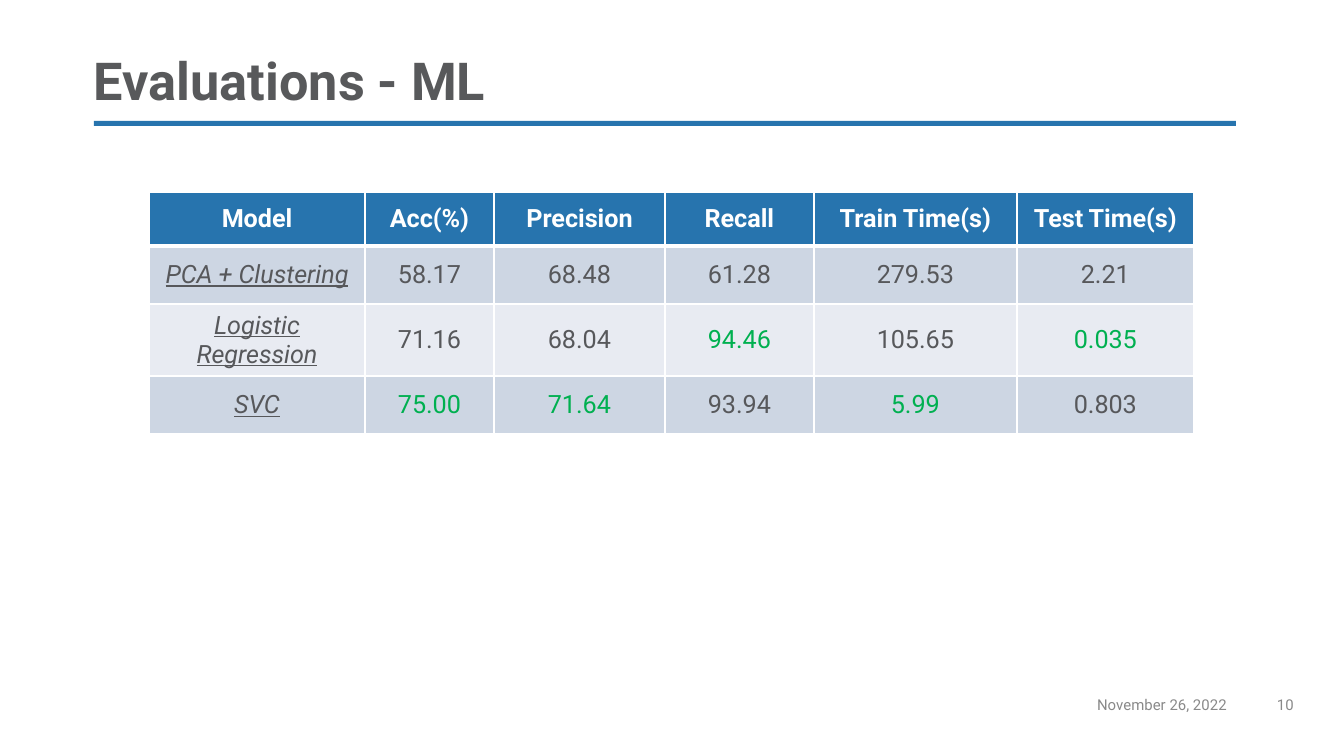
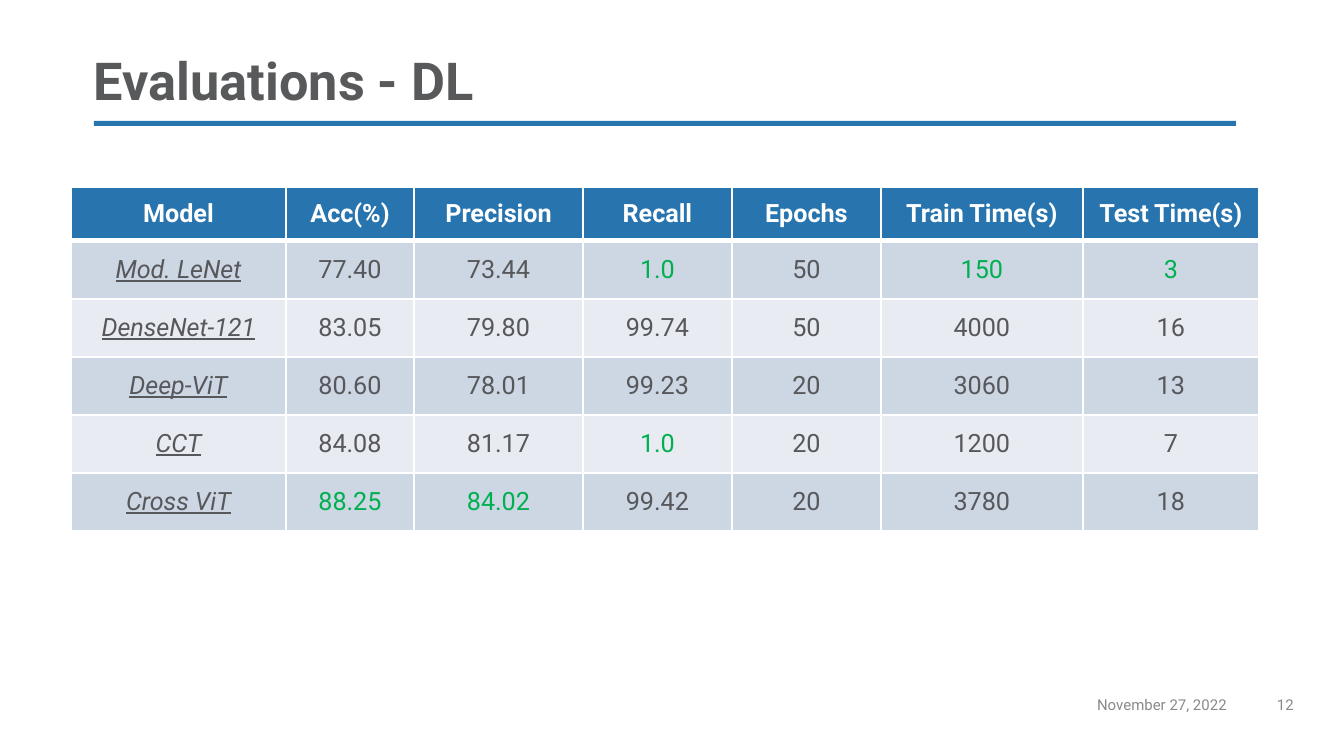
"""Build two slides that compare the scores of ML and DL models."""
from lxml import etree
from pptx import Presentation
from pptx.dml.color import RGBColor
from pptx.enum.shapes import MSO_SHAPE
from pptx.enum.text import MSO_ANCHOR, MSO_AUTO_SIZE, PP_ALIGN
from pptx.oxml.ns import qn
from pptx.util import Pt

RECT = MSO_SHAPE.RECTANGLE
TOP, MIDDLE, BOTTOM = MSO_ANCHOR.TOP, MSO_ANCHOR.MIDDLE, MSO_ANCHOR.BOTTOM
LEFT, CENTER, RIGHT = PP_ALIGN.LEFT, PP_ALIGN.CENTER, PP_ALIGN.RIGHT
FIXED = MSO_AUTO_SIZE.NONE

SLIDES = [
    {
        "title": "Evaluations - ML",
        "date": "November 26, 2022",
        "page": "10",
        "at": (149, 192),
        "cols": [216, 129, 171, 149, 203, 177],
        "rows": [
            ["Model", "Acc(%)", "Precision", "Recall", "Train Time(s)", "Test Time(s)"],
            ["PCA + Clustering", "58.17", "68.48", "61.28", "279.53", "2.21"],
            ["Logistic Regression", "71.16", "68.04", "94.46", "105.65", "0.035"],
            ["SVC", "75.00", "71.64", "93.94", "5.99", "0.803"],
        ],
        "best": ["75.00", "71.64", "94.46", "5.99", "0.035"],
    },
    {
        "title": "Evaluations - DL",
        "date": "November 27, 2022",
        "page": "12",
        "at": (71, 187),
        "cols": [215, 128, 169, 149, 149, 202, 176],
        "rows": [
            ["Model", "Acc(%)", "Precision", "Recall", "Epochs",
             "Train Time(s)", "Test Time(s)"],
            ["Mod. LeNet", "77.40", "73.44", "1.0", "50", "150", "3"],
            ["DenseNet-121", "83.05", "79.80", "99.74", "50", "4000", "16"],
            ["Deep-ViT", "80.60", "78.01", "99.23", "20", "3060", "13"],
            ["CCT", "84.08", "81.17", "1.0", "20", "1200", "7"],
            ["Cross ViT", "88.25", "84.02", "99.42", "20", "3780", "18"],
        ],
        "best": ["88.25", "84.02", "1.0", "150", "3"],
    },
]

COLORS = {
    "blue": "2774AE", "title": "58595B", "body": "57585B", "best": "00B050",
    "foot": "898989", "odd": "CDD6E3", "even": "E8EBF2", "white": "FFFFFF",
}
FONT = "Roboto"
WIDE, HIGH = 1344, 756
HEAD, ROW = 54, 58
TITLE = (94, 54, 1142, 58)
BAND = (94, 121, 1142, 5)
DATE = (1089, 699, 138, 54)
PAGE = (1277, 699, 67, 54)


def px(num):
    return round(num * 914400 / 134.4)


def rgb(name):
    return RGBColor.from_string(COLORS[name])


def style(frame, size, color, align, bold=False, slant=False):
    para = frame.paragraphs[0]
    para.alignment = align
    for run in para.runs:
        font = run.font
        font.name, font.size, font.bold = FONT, Pt(size), bold
        font.italic = font.underline = slant
        font.color.rgb = rgb(color)
    return para


def setup(frame, anchor, foot=0):
    frame.word_wrap = True
    frame.auto_size = FIXED
    frame.vertical_anchor = anchor
    frame.margin_left = frame.margin_right = frame.margin_top = 0
    frame.margin_bottom = px(foot)


def add_title(slide, text):
    shape = slide.shapes.title
    shape.left, shape.top, shape.width, shape.height = map(px, TITLE)
    frame = shape.text_frame
    frame.text = text
    setup(frame, BOTTOM)
    style(frame, 28, "title", LEFT, bold=True).line_spacing = 0.9


def add_band(slide):
    band = slide.shapes.add_shape(RECT, *map(px, BAND))
    band.shadow.inherit = False
    band.fill.solid()
    band.fill.fore_color.rgb = rgb("blue")
    band.line.fill.background()


def add_foot(slide, text, box, align):
    frame = slide.shapes.add_textbox(*map(px, box)).text_frame
    frame.text = text
    setup(frame, TOP, 38)
    para = style(frame, 8, "foot", align)
    para.line_spacing = 0.8
    para.space_after = Pt(6)


def add_edges(cell, row):
    props = cell._tc.get_or_add_tcPr()
    wide = {"T": 3 if row == 1 else 1, "B": 3 if row == 0 else 1}
    for side in "LRTB":
        line = etree.SubElement(props, qn(f"a:ln{side}"), w=str(Pt(wide.get(side, 1))))
        fill = etree.SubElement(line, qn("a:solidFill"))
        etree.SubElement(fill, qn("a:srgbClr"), val=COLORS["white"])


def fill_cell(cell, text, row, col, best):
    add_edges(cell, row)
    cell.fill.solid()
    cell.fill.fore_color.rgb = rgb("blue" if row == 0 else "odd" if row % 2 else "even")
    cell.vertical_anchor = MIDDLE
    cell.text_frame.text = text
    color = "white" if row == 0 else "best" if text in best else "body"
    style(cell.text_frame, 13.5, color, CENTER, row == 0, row > 0 and col == 0)


def add_scores(slide, data):
    rows, cols = data["rows"], data["cols"]
    highs = [HEAD] + [ROW] * (len(rows) - 1)
    box = (*data["at"], sum(cols), sum(highs))
    table = slide.shapes.add_table(len(rows), len(cols), *map(px, box)).table
    for col, width in zip(table.columns, cols):
        col.width = px(width)
    for row, high in zip(table.rows, highs):
        row.height = px(high)
    for r, texts in enumerate(rows):
        for c, text in enumerate(texts):
            fill_cell(table.cell(r, c), text, r, c, data["best"])


def main():
    deck = Presentation()
    deck.slide_width, deck.slide_height = px(WIDE), px(HIGH)
    for data in SLIDES:
        slide = deck.slides.add_slide(deck.slide_layouts[5])
        add_band(slide)
        add_foot(slide, data["date"], DATE, RIGHT)
        add_foot(slide, data["page"], PAGE, LEFT)
        add_title(slide, data["title"])
        add_scores(slide, data)
    deck.save("out.pptx")


if __name__ == "__main__":
    main()
